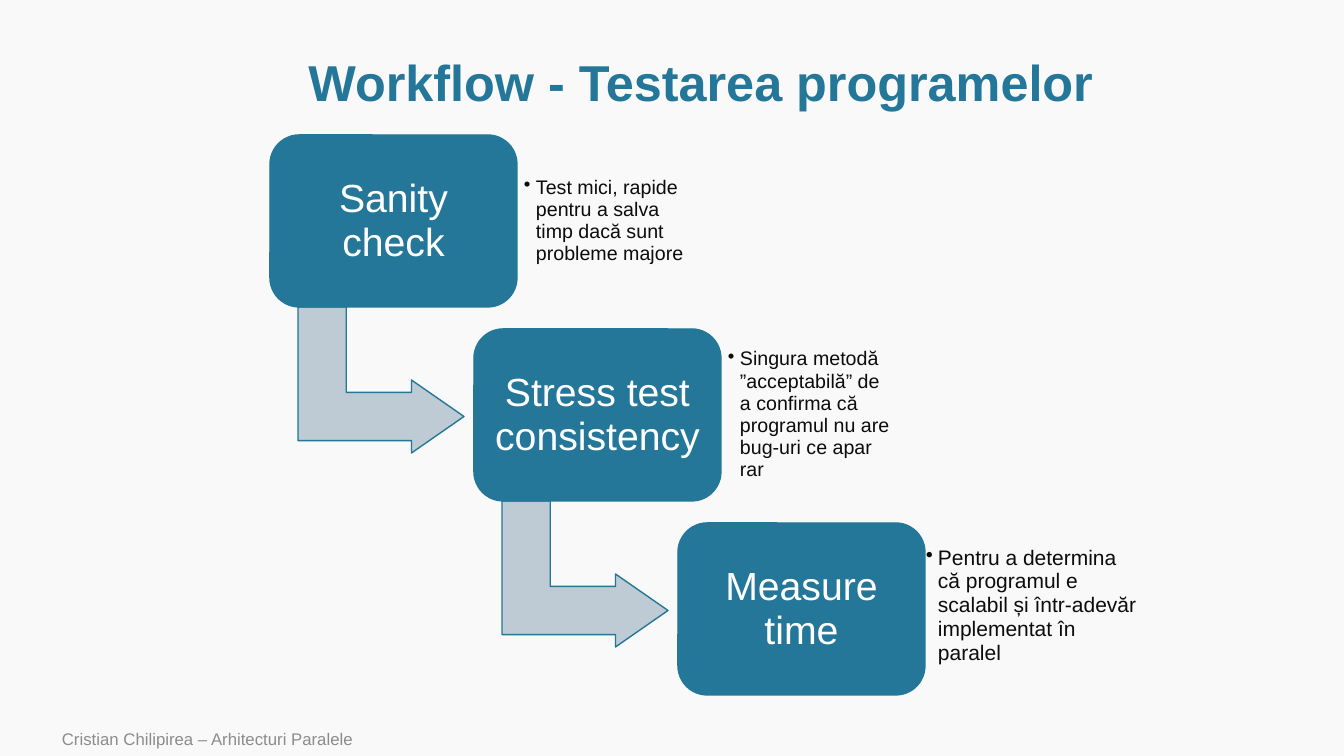
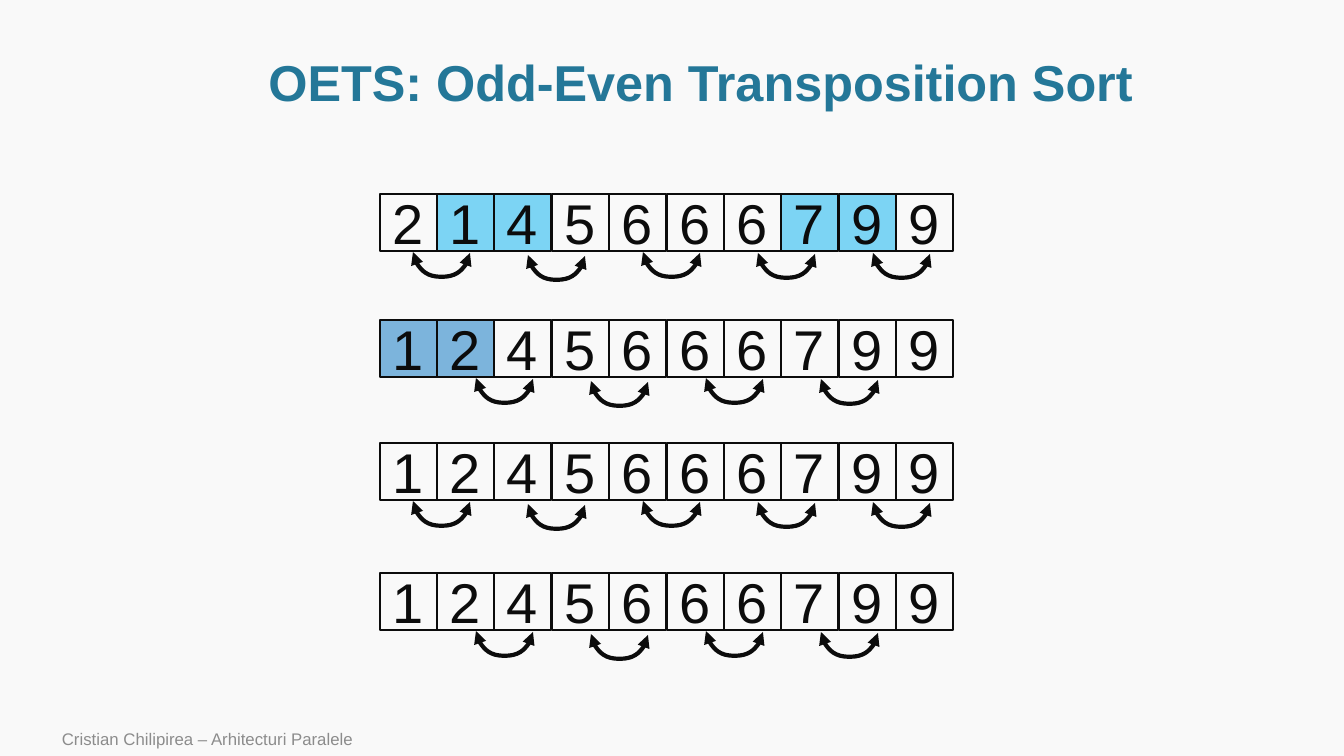
from dataclasses import dataclass
from typing import Any, Optional

from lxml import etree
from pptx import Presentation
from pptx import util as u
from pptx.dml.color import RGBColor
from pptx.enum import shapes, text
from pptx.oxml import ns

PX_PER_INCH = 100.8
FONT = "Arial"
PAPER = RGBColor(0xF9, 0xF9, 0xF9)
TEAL = RGBColor(0x24, 0x77, 0x98)
MIST = RGBColor(0xBE, 0xCA, 0xD4)
INK = RGBColor(0x0C, 0x0C, 0x0C)
WHITE = RGBColor(0xFF, 0xFF, 0xFF)
GREY = RGBColor(0x8C, 0x8C, 0x8C)
SKY = RGBColor(0x00, 0xB0, 0xF0)
BLUE = RGBColor(0x00, 0x70, 0xC0)

FOOTER = "Cristian Chilipirea – Arhitecturi Paralele"
STEP_WIDTH, STEP_HEIGHT = 247, 172
STEP_RIGHT, STEP_DOWN = 204, 194
CELL, ROW_LEFT, ROW_WIDTH = 57, 380, 574
ARC_GAP, ARC_DEPTH = 115, 25
ARC_DROPS = (58, 61, 58, 59, 59)
ODD_START, EVEN_START = 413, 476


@dataclass(frozen=True)
class Frame:
    left: int
    top: int
    width: int
    height: int

    def emu(self) -> tuple[int, ...]:
        return tuple(px(side) for side in (self.left, self.top, self.width, self.height))


@dataclass(frozen=True)
class Style:
    size: int
    color: RGBColor
    bold: bool = False
    align: text.PP_ALIGN = text.PP_ALIGN.LEFT
    spacing: float = 1.0
    bullet_indent: int = 0
    inset: Optional[int] = None


@dataclass(frozen=True)
class Step:
    label: str
    note: str
    note_shift: tuple[int, int] = (247, 16)
    note_width: int = 179
    note_size: int = 14


@dataclass(frozen=True)
class Row:
    top: int
    digits: str
    arc_start: int
    arc_count: int
    marked: tuple[int, ...] = ()
    mark: RGBColor = SKY


TITLE_STYLE = Style(36, TEAL, bold=True, align=text.PP_ALIGN.CENTER, spacing=0.9)
FOOTER_STYLE = Style(12, GREY)
LABEL_STYLE = Style(28, WHITE, align=text.PP_ALIGN.CENTER, spacing=0.94, inset=10)
DIGIT_STYLE = Style(40, INK, align=text.PP_ALIGN.CENTER)

STEPS = (
    Step("Sanity check", "Test mici, rapide pentru a salva timp dacă sunt probleme majore"),
    Step("Stress test consistency",
         "Singura metodă ”acceptabilă” de a confirma că programul nu are bug-uri ce apar rar"),
    Step("Measure time",
         "Pentru a determina că programul e scalabil și într-adevăr implementat în paralel",
         note_shift=(241, 13), note_width=228, note_size=15),
)

ROWS = (
    Row(194, "2145666799", ODD_START, 5, (1, 2, 7, 8)),
    Row(320, "1245666799", EVEN_START, 4, (0, 1), BLUE),
    Row(443, "1245666799", ODD_START, 5),
    Row(573, "1245666799", EVEN_START, 4),
)


def px(length: int) -> int:
    return u.Emu(round(length * 914400 / PX_PER_INCH))


def assign(target: Any, formats: dict[str, Any]) -> None:
    for name, value in formats.items():
        setattr(target, name, value)


def write(box: Any, words: str, style: Style) -> None:
    frame = box.text_frame
    assign(frame, {"word_wrap": True, "vertical_anchor": text.MSO_ANCHOR.MIDDLE})
    if style.inset is not None:
        sides = ("left", "top", "right", "bottom")
        assign(frame, {f"margin_{side}": px(style.inset) for side in sides})
    para = frame.paragraphs[0]
    if style.bullet_indent:
        properties = para._p.get_or_add_pPr()
        indent = px(style.bullet_indent)
        properties.set("marL", str(indent))
        properties.set("indent", str(-indent))
        etree.SubElement(properties, ns.qn("a:buChar"), char="•")
    assign(para, {"alignment": style.align, "line_spacing": style.spacing})
    span = para.add_run()
    span.text = words
    assign(span.font, {"name": FONT, "size": u.Pt(style.size), "bold": style.bold})
    span.font.color.rgb = style.color


def add_text(page: Any, frame: Frame, words: str, style: Style) -> None:
    write(page.shapes.add_textbox(*frame.emu()), words, style)


def add_box(page: Any, kind: shapes.MSO_SHAPE, frame: Frame, line: RGBColor,
            fill: Optional[RGBColor] = None, opacity: int = 100) -> Any:
    box = page.shapes.add_shape(kind, *frame.emu())
    box.shadow.inherit = False
    box.line.color.rgb = line
    box.line.width = u.Pt(1)
    if fill is None:
        box.fill.background()
    else:
        box.fill.solid()
        box.fill.fore_color.rgb = fill
        if opacity < 100:
            color = box._element.spPr.find(f"{ns.qn('a:solidFill')}/{ns.qn('a:srgbClr')}")
            etree.SubElement(color, ns.qn("a:alpha"), val=str(opacity * 1000))
    return box


def add_swap_arc(page: Any, left: int, top: int) -> None:
    half = CELL // 2
    arc = page.shapes.add_connector(
        shapes.MSO_CONNECTOR.CURVE,
        px(left + half), px(top - half), px(left + half + 1), px(top - half + CELL))
    arc.line.color.rgb = INK
    arc.line.width = u.Pt(3)
    properties = arc._element.spPr
    turn = properties.find(ns.qn("a:xfrm"))
    turn.set("rot", str(270 * 60000))
    turn.set("flipH", "1")
    geometry = properties.find(ns.qn("a:prstGeom"))
    guides = geometry.find(ns.qn("a:avLst"))
    if guides is None:
        guides = etree.SubElement(geometry, ns.qn("a:avLst"))
    etree.SubElement(guides, ns.qn("a:gd"), name="adj1", fmla=f"val {ARC_DEPTH * 100000}")
    line = properties.find(ns.qn("a:ln"))
    for end in ("a:headEnd", "a:tailEnd"):
        etree.SubElement(line, ns.qn(end), type="triangle")
    etree.SubElement(properties, ns.qn("a:effectLst"))


def add_page(deck: Any, title: str) -> Any:
    page = deck.slides.add_slide(deck.slide_layouts[6])
    add_text(page, Frame(115, 51, 1172, 69), title, TITLE_STYLE)
    add_text(page, Frame(52, 722, 847, 34), FOOTER, FOOTER_STYLE)
    return page


def add_step(page: Any, index: int, step: Step) -> None:
    left, top = 270 + index * STEP_RIGHT, 135 + index * STEP_DOWN
    if index < len(STEPS) - 1:
        arrow = add_box(page, shapes.MSO_SHAPE.BENT_UP_ARROW,
                        Frame(left + 38, top + 162, 146, 166), TEAL, MIST)
        arrow.rotation = 90
        for position, value in enumerate((0.33, 0.25, 0.36)):
            arrow.adjustments[position] = value
    box = add_box(page, shapes.MSO_SHAPE.ROUNDED_RECTANGLE,
                  Frame(left, top, STEP_WIDTH, STEP_HEIGHT), TEAL, TEAL)
    box.adjustments[0] = 0.17
    write(box, step.label, LABEL_STYLE)
    right, down = step.note_shift
    add_text(page, Frame(left + right, top + down, step.note_width, 139), step.note,
             Style(step.note_size, INK, spacing=0.94, bullet_indent=12, inset=7))


def add_row(page: Any, row: Row) -> None:
    for index, digit in enumerate(row.digits):
        left = ROW_LEFT + ROW_WIDTH * index // len(row.digits)
        fill = row.mark if index in row.marked else None
        cell = add_box(page, shapes.MSO_SHAPE.RECTANGLE,
                       Frame(left, row.top, CELL, CELL), INK, fill, opacity=50)
        write(cell, digit, DIGIT_STYLE)
    for index, drop in enumerate(ARC_DROPS[:row.arc_count]):
        add_swap_arc(page, row.arc_start + index * ARC_GAP, row.top + drop)


def main() -> None:
    deck = Presentation()
    assign(deck, {"slide_width": px(1344), "slide_height": px(756)})
    backdrop = deck.slide_master.background.fill
    backdrop.solid()
    backdrop.fore_color.rgb = PAPER

    workflow = add_page(deck, "Workflow - Testarea programelor")
    for index, step in enumerate(STEPS):
        add_step(workflow, index, step)

    sorting = add_page(deck, "OETS: Odd-Even Transposition Sort")
    for row in ROWS:
        add_row(sorting, row)

    deck.save("out.pptx")


if __name__ == "__main__":
    main()
